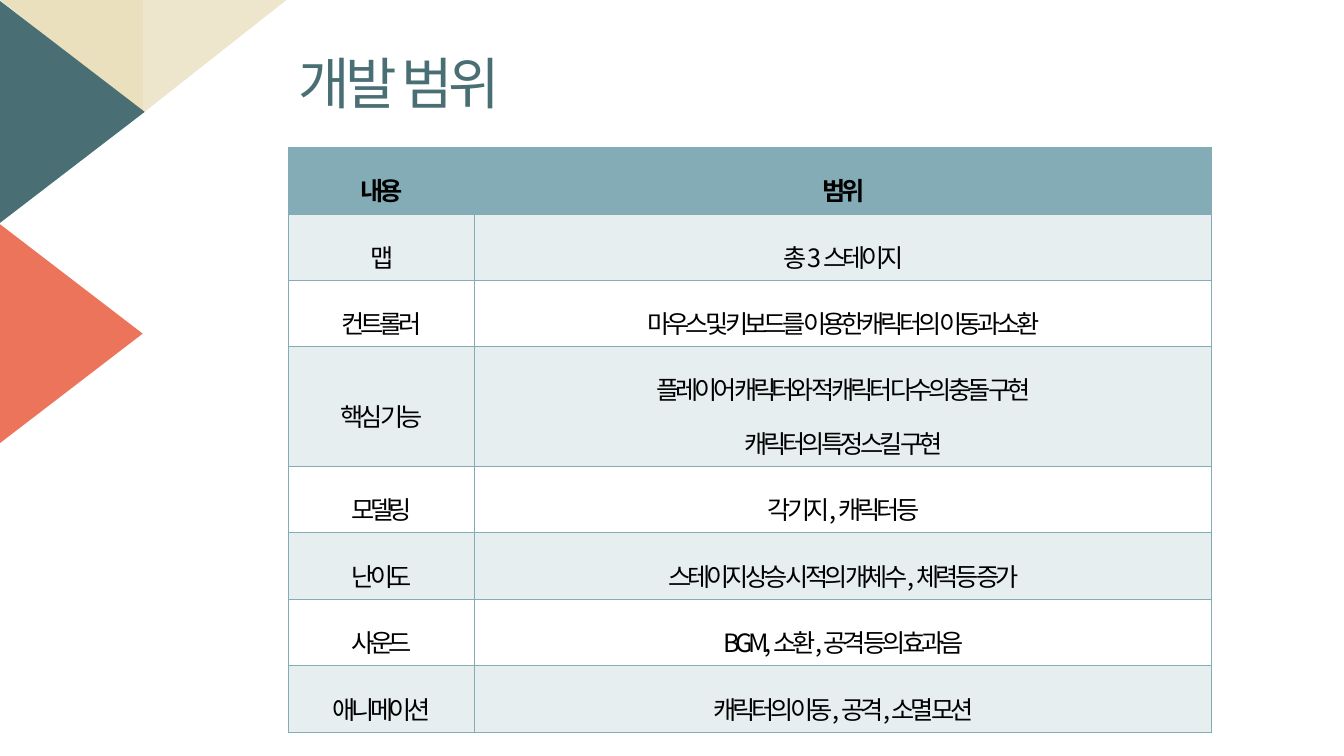
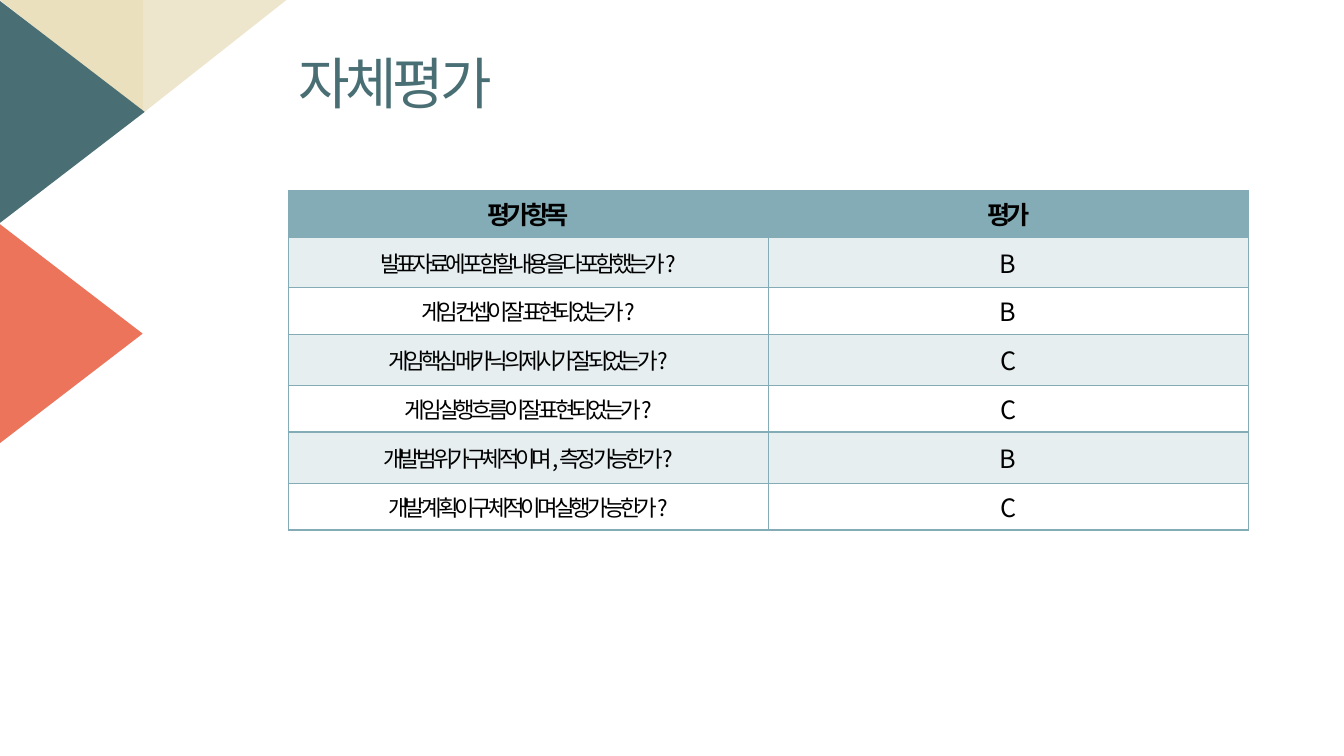
"""Builds two slides about a game project: development scope and self-evaluation."""
import lxml.etree
import pptx
import pptx.dml.color
import pptx.enum.shapes
import pptx.enum.text
import pptx.oxml
import pptx.oxml.ns
import pptx.util

Inches, Pt = pptx.util.Inches, pptx.util.Pt
SHAPE = pptx.enum.shapes.MSO_SHAPE
ALIGN = pptx.enum.text.PP_ALIGN
ANCHOR = pptx.enum.text.MSO_ANCHOR
qn = pptx.oxml.ns.qn

TEAL, CORAL, SAND, PALE = "496F74", "EC745B", "EAE0BE", "EEE6CC"
BLUE, BLACK = "84ACB6", "000000"
TITLE_FONT, BODY_FONT = "Noto Sans CJK TC", "Noto Sans CJK KR"
TITLE_BOX = (2.86, 0.47, 3.18, 0.77)

TRIANGLES = [
    (SHAPE.RIGHT_TRIANGLE, (0, 0, 1.42, 1.12), 180, False, SAND),
    (SHAPE.RIGHT_TRIANGLE, (1.42, 0, 1.42, 1.12), 180, True, PALE),
    (SHAPE.ISOSCELES_TRIANGLE, (-0.39, 0.39, 2.21, 1.44), 90, False, TEAL),
    (SHAPE.ISOSCELES_TRIANGLE, (-0.41, 2.59, 2.21, 1.44), 90, False, CORAL),
]

SLIDES = [
    {
        "title": "개발 범위",
        "top": 1.46,
        "cols": [1.85, 7.31],
        "heights": [0.66] * 8,
        "sizes": (18, 18),
        "spacing": 1.5,
        "rows": [
            ("내용", "범위"),
            ("맵", "총 3 스테이지"),
            ("컨트롤러", "마우스 및 키보드를 이용한 캐릭터의 이동과 소환"),
            ("핵심 기능", "플레이어 캐릭터와 적 캐릭터 다수의 충돌 구현\n캐릭터의 특정 스킬 구현"),
            ("모델링", "각 기지, 캐릭터 등"),
            ("난이도", "스테이지 상승 시 적의 개체 수, 체력 등 증가"),
            ("사운드", "BGM, 소환, 공격 등의 효과음"),
            ("애니메이션", "캐릭터의 이동, 공격, 소멸 모션"),
        ],
    },
    {
        "title": "자체평가",
        "top": 1.89,
        "cols": [4.76, 4.76],
        "heights": [0.44, 0.5, 0.44, 0.51, 0.44, 0.51, 0.46],
        "sizes": (16, 18),
        "spacing": 1.0,
        "rows": [
            ("평가 항목", "평가"),
            ("발표자료에 포함할 내용을 다 포함했는가?", "B"),
            ("게임 컨셉이 잘 표현되었는가?", "B"),
            ("게임 핵심 메카닉의 제시가 잘 되었는가?", "C"),
            ("게임 실행 흐름이 잘 표현되었는가?", "C"),
            ("개발 범위가 구체적이며, 측정 가능한가?", "B"),
            ("개발 계획이 구체적이며 실행 가능한가?", "C"),
        ],
    },
]


def rgb(color):
    return pptx.dml.color.RGBColor.from_string(color)


def assign(obj, values):
    for name, value in values.items():
        setattr(obj, name, value)


def write(tf, text, font, size, color, bold=False, **paragraph):
    tf.text = text
    for p in tf.paragraphs:
        assign(p, paragraph)
        for r in p.runs:
            assign(r.font, {"name": font, "size": Pt(size), "bold": bold})
            r.font.color.rgb = rgb(color)
            rPr = r.font._element
            rPr.set("spc", "-300")
            lxml.etree.SubElement(rPr, qn("a:ea")).set("typeface", font)


def paint(fill_owner, color, alpha=None):
    fill_owner.fill.solid()
    fill_owner.fill.fore_color.rgb = rgb(color)
    if alpha is not None:
        node = next(fill_owner._element.iter(qn("a:srgbClr")))
        lxml.etree.SubElement(node, qn("a:alpha")).set("val", str(alpha * 1000))


def outline(cell, bottom):
    tcPr = cell._tc.get_or_add_tcPr()
    widths = {"lnL": 1, "lnR": 1, "lnT": 1, "lnB": bottom}
    for i, (side, width) in enumerate(widths.items()):
        ln = lxml.etree.Element(qn(f"a:{side}"), w=str(Pt(width)))
        fill = lxml.etree.SubElement(ln, qn("a:solidFill"))
        lxml.etree.SubElement(fill, qn("a:srgbClr")).set("val", BLUE)
        tcPr.insert(i, ln)


def decorate_layout(layout, slide):
    for kind, box, rotation, flip, color in TRIANGLES:
        sp = slide.shapes.add_shape(kind, *map(Inches, box))
        sp.rotation = rotation
        sp.shadow.inherit = False
        paint(sp, color)
        sp.line.fill.background()
        if flip:
            sp._element.spPr.xfrm.set("flipH", "1")
        layout.shapes._spTree.append(sp._element)
    title = layout.placeholders[0]
    left, top, width, height = map(Inches, TITLE_BOX)
    assign(title, {"left": left, "top": top, "width": width, "height": height})


def add_title(slide, text):
    tf = slide.shapes.title.text_frame
    write(tf, text, TITLE_FONT, 40, TEAL, alignment=ALIGN.LEFT,
          line_spacing=0.9, space_before=Pt(10))
    assign(tf, {"vertical_anchor": ANCHOR.MIDDLE, "word_wrap": True,
                "auto_size": pptx.enum.text.MSO_AUTO_SIZE.NONE})


def add_table(slide, data):
    rows, cols, heights = data["rows"], data["cols"], data["heights"]
    box = (TITLE_BOX[0], data["top"], sum(cols), sum(heights))
    table = slide.shapes.add_table(len(rows), len(cols), *map(Inches, box)).table
    table.horz_banding = False
    for column, width in zip(table.columns, cols):
        column.width = Inches(width)
    for i, (row, height, texts) in enumerate(zip(table.rows, heights, rows)):
        row.height = Inches(height)
        header = i == 0
        for cell, text, size in zip(row.cells, texts, data["sizes"]):
            cell.vertical_anchor = ANCHOR.MIDDLE
            write(cell.text_frame, text, BODY_FONT, 18 if header else size, BLACK,
                  header, alignment=ALIGN.CENTER, line_spacing=data["spacing"])
            if header:
                paint_cell(cell, BLUE)
            elif i % 2:
                paint_cell(cell, BLUE, 20)
            else:
                cell.fill.background()
            outline(cell, 2 if header else 1)


def paint_cell(cell, color, alpha=None):
    cell.fill.solid()
    cell.fill.fore_color.rgb = rgb(color)
    if alpha is not None:
        node = cell._tc.tcPr.find(qn("a:solidFill")).find(qn("a:srgbClr"))
        lxml.etree.SubElement(node, qn("a:alpha")).set("val", str(alpha * 1000))


def main():
    prs = pptx.Presentation()
    assign(prs, {"slide_width": Inches(13.33), "slide_height": Inches(7.5)})
    layout = prs.slide_layouts[5]
    for i, data in enumerate(SLIDES):
        slide = prs.slides.add_slide(layout)
        if i == 0:
            decorate_layout(layout, slide)
        add_title(slide, data["title"])
        add_table(slide, data)
    prs.save("out.pptx")


if __name__ == "__main__":
    main()
